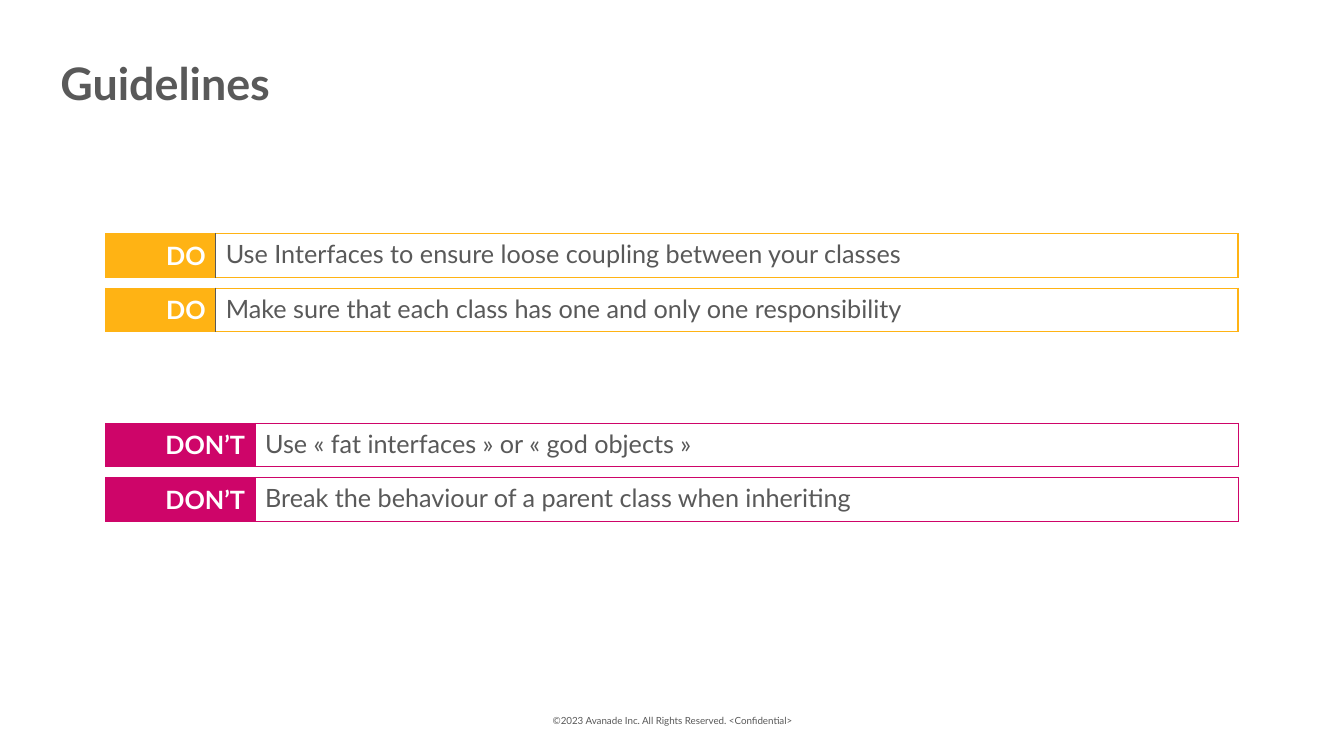
import pptx
import pptx.dml.color
import pptx.enum.text
import pptx.oxml.ns
import pptx.util
from lxml import etree

Inches = pptx.util.Inches
ALIGN = pptx.enum.text.PP_ALIGN
ANCHOR = pptx.enum.text.MSO_ANCHOR
WHITE, GREY, AMBER, PINK = "FFFFFF", "595959", "FFB314", "CE0569"


def color(value):
    return pptx.dml.color.RGBColor.from_string(value)


class Deck:
    font = "Lato"

    def __init__(self):
        self.prs = pptx.Presentation()
        self.prs.slide_width = Inches(13.33)
        self.prs.slide_height = Inches(7.5)
        self.s = self.prs.slides.add_slide(self.prs.slide_layouts[6])

    def add_run(self, tf, text, size, fill, bold=False, align=ALIGN.LEFT):
        p = tf.paragraphs[0]
        p.alignment = align
        r = p.add_run()
        r.text = text
        r.font.name = self.font
        r.font.size = pptx.util.Pt(size)
        r.font.bold = bold
        r.font.color.rgb = color(fill)

    def add_text(self, box, text, size, anchor=ANCHOR.TOP, **style):
        tf = self.s.shapes.add_textbox(*map(Inches, box)).text_frame
        tf.word_wrap = True
        tf.vertical_anchor = anchor
        self.add_run(tf, text, size, GREY, **style)

    def add_borders(self, cell, colors):
        """Draw 1 pt borders; colors run left, right, top, bottom."""
        tcPr = cell._tc.get_or_add_tcPr()
        qn = pptx.oxml.ns.qn
        for side, value in zip("LRTB", colors):
            ln = etree.SubElement(tcPr, qn(f"a:ln{side}"), w="12700")
            fill = etree.SubElement(ln, qn("a:solidFill"))
            etree.SubElement(fill, qn("a:srgbClr"), val=value)

    def add_guideline(self, top, label, text, accent, label_width, divider):
        left, width, height = 1.05, 11.23, 0.43
        table = self.s.shapes.add_table(
            1, 2, Inches(left), Inches(top), Inches(width), Inches(height)).table
        table.first_row = table.horz_banding = False
        table.columns[0].width = Inches(label_width)
        table.columns[1].width = Inches(width - label_width)
        tag, rule = table.cell(0, 0), table.cell(0, 1)

        # Borders come before the fill in the cell properties
        self.add_borders(tag, (accent, divider, accent, accent))
        self.add_borders(rule, (divider, accent, accent, accent))
        tag.fill.solid()
        tag.fill.fore_color.rgb = color(accent)
        rule.fill.background()

        tag.vertical_anchor = ANCHOR.MIDDLE
        self.add_run(tag.text_frame, label, 18, WHITE, True, ALIGN.RIGHT)
        self.add_run(rule.text_frame, text, 18, GREY)


def main():
    deck = Deck()

    # Title and footer
    deck.add_text((0.5, 0.5, 12.25, 0.66), "Guidelines", 32, bold=True)
    deck.add_text((4.42, 6.95, 4.5, 0.4),
                  "©2023 Avanade Inc. All Rights Reserved. <Confidential>",
                  7, ANCHOR.MIDDLE, align=ALIGN.CENTER)

    # Guideline groups: top, label, accent, label width, divider, rules
    groups = [
        (2.32, "DO", AMBER, 1.09, GREY, [
            "Use Interfaces to ensure loose coupling between your classes",
            "Make sure that each class has one and only one responsibility"]),
        (4.2, "DON’T", PINK, 1.48, PINK, [
            "Use « fat interfaces » or « god objects »",
            "Break the behaviour of a parent class when inheriting"]),
    ]
    pitch = 0.54
    for top, label, accent, label_width, divider, rules in groups:
        for i, rule in enumerate(rules):
            deck.add_guideline(top + i * pitch, label, rule, accent,
                               label_width, divider)

    deck.prs.save("out.pptx")


if __name__ == "__main__":
    main()
